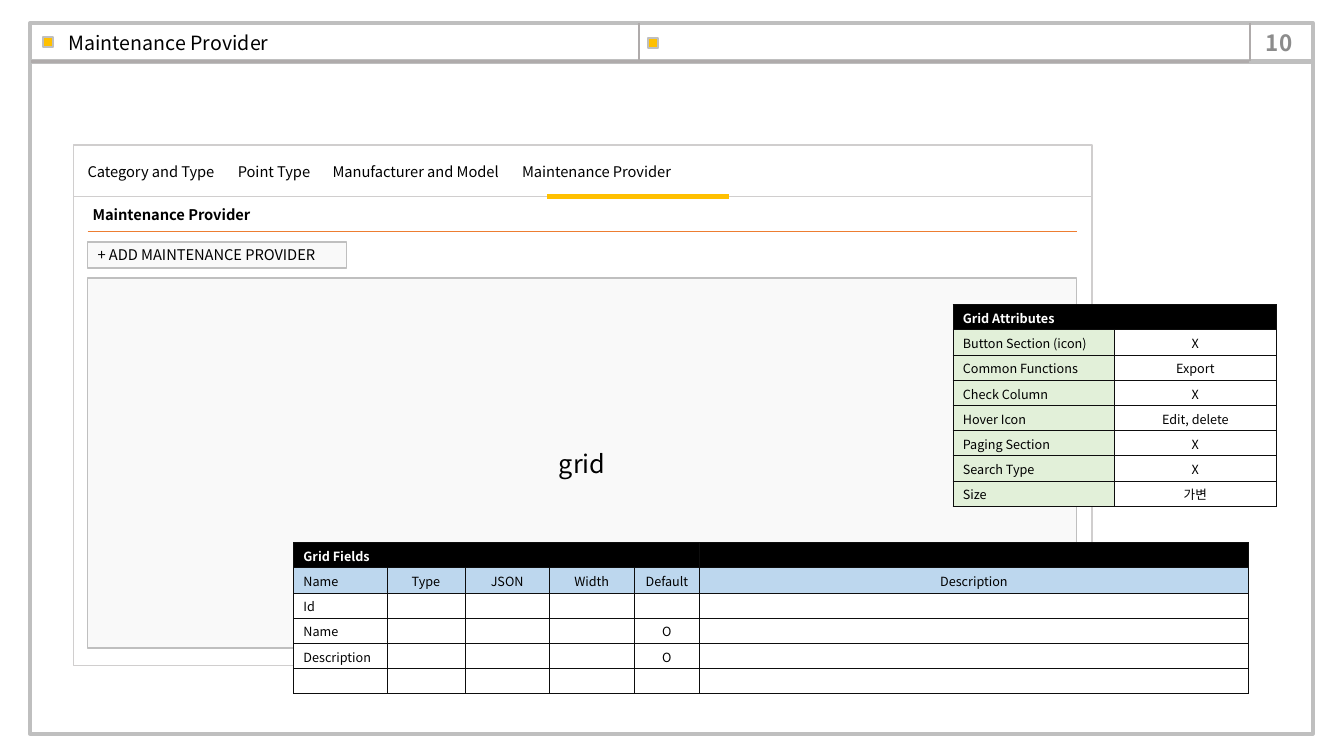
from lxml import etree
from pptx import Presentation, util as u
from pptx.dml.color import RGBColor
from pptx.enum import shapes, text
from pptx.oxml.ns import qn

FONT = "Noto Sans CJK KR"
LEFT, CENTER = text.PP_ALIGN.LEFT, text.PP_ALIGN.CENTER
TOP, MIDDLE, BOTTOM = text.MSO_ANCHOR.TOP, text.MSO_ANCHOR.MIDDLE, text.MSO_ANCHOR.BOTTOM
WHITE, BLACK, GRAY, SILVER, AMBER, PALE = "FFFFFF", "000000", "BFBFBF", "D0CECE", "FFC000", "F9F9F9"
RULE = "AFABAB"

WIDTH, HEIGHT = 13.33, 7.5
FRAME_X, FRAME_WIDTH, HEADER_Y, BODY_Y, BODY_HEIGHT = 0.3, 12.72, 0.23, 0.61, 6.67
SCREEN_X, SCREEN_WIDTH, TABS_Y, SCREEN_Y = 0.73, 10.1, 1.44, 1.95
PANEL_X, PANEL_WIDTH = 0.87, 9.81
ROW_HEIGHT = 0.25

BOXES = [
    ((FRAME_X, BODY_Y, FRAME_WIDTH, BODY_HEIGHT), WHITE, GRAY, 3),
    ((FRAME_X, HEADER_Y, FRAME_WIDTH, BODY_Y - HEADER_Y), None, GRAY, 3),
    ((0.43, 0.37, 0.1, 0.1), AMBER, GRAY, 1.5),
    ((6.43, 0.38, 0.1, 0.1), AMBER, GRAY, 1.5),
    ((SCREEN_X, SCREEN_Y, SCREEN_WIDTH, 4.65), None, SILVER, 1),
    ((SCREEN_X, TABS_Y, SCREEN_WIDTH, SCREEN_Y - TABS_Y), None, SILVER, 1),
    ((PANEL_X, 2.4, 2.57, 0.26), PALE, GRAY, 1),
    ((PANEL_X, 2.76, PANEL_WIDTH, 3.67), PALE, GRAY, 1),
]
LINES = [
    ((0.31, BODY_Y, 12.39, BODY_Y), RULE, 1.5),
    ((12.4, BODY_Y, 12.4, HEADER_Y), RULE, 1.5),
    ((6.34, BODY_Y, 6.34, HEADER_Y), RULE, 1.5),
    ((5.43, SCREEN_Y, 7.23, SCREEN_Y), AMBER, 3),
    ((PANEL_X, 2.3, PANEL_X + PANEL_WIDTH, 2.3), "ED7D31", 0.5),
]
TABS = ["Category and Type", "Point Type", "Manufacturer and Model", "Maintenance Provider"]
TAB_STOPS = [1.49, 2.43, 4.31]
LABELS = [
    ((12.34, 0.24, 0.69, 0.36), "10", 16, "8C8C8C", True, CENTER, MIDDLE),
    ((0.58, 0.27, 5.68, 0.32), "Maintenance Provider", 14, BLACK, False, LEFT, BOTTOM),
    ((0.77, 1.57, 6.45, 0.28), "\t".join(TABS), 10.5, BLACK, False, LEFT, TOP),
    ((0.82, 1.99, 3.38, 0.28), "Maintenance Provider", 10.5, BLACK, True, LEFT, TOP),
    ((PANEL_X, 2.4, 2.57, 0.26), "+ ADD MAINTENANCE PROVIDER", 10.5, BLACK, False, LEFT, MIDDLE),
    ((PANEL_X, 2.76, PANEL_WIDTH, 3.67), "grid", 18, BLACK, False, CENTER, MIDDLE),
]
ATTRIBUTES = [
    ("Grid Attributes", ""),
    ("Button Section (icon)", "X"),
    ("Common Functions", "Export"),
    ("Check Column", "X"),
    ("Hover Icon", "Edit, delete"),
    ("Paging Section", "X"),
    ("Search Type", "X"),
    ("Size", "가변"),
]
FIELDS = [
    ("Grid Fields", "", "", "", "", ""),
    ("Name", "Type", "JSON", "Width", "Default", "Description"),
    ("Id", "", "", "", "", ""),
    ("Name", "", "", "", "O", ""),
    ("Description", "", "", "", "O", ""),
    ("", "", "", "", "", ""),
]


def color(value):
    """Turn a hex string into a colour."""
    return RGBColor.from_string(value)


def assign(target, values):
    """Set each named attribute of the target."""
    for name, value in values.items():
        setattr(target, name, value)


def paint(fill, value):
    """Fill with one colour, or with none."""
    if value:
        fill.solid()
        fill.fore_color.rgb = color(value)
    else:
        fill.background()


def write(para, words, size, ink, bold, align):
    """Write one formatted span into a paragraph."""
    para.alignment = align
    if words:
        span = para.add_run()
        span.text = words
        assign(span.font, {"name": FONT, "size": u.Pt(size), "bold": bold})
        span.font.color.rgb = color(ink)
    else:
        etree.SubElement(para._p, qn("a:endParaRPr"), sz=str(int(size * 100)))


def add_box(page, place, fill, edge, weight):
    """Draw an outlined rectangle."""
    box = page.shapes.add_shape(shapes.MSO_SHAPE.RECTANGLE, *map(u.Inches, place))
    box.shadow.inherit = False
    paint(box.fill, fill)
    box.line.color.rgb = color(edge)
    box.line.width = u.Pt(weight)


def add_line(page, ends, ink, weight):
    """Draw a straight rule."""
    rule = page.shapes.add_connector(shapes.MSO_CONNECTOR.STRAIGHT, *map(u.Inches, ends))
    rule.line.color.rgb = color(ink)
    rule.line.width = u.Pt(weight)
    etree.SubElement(rule._element.spPr, qn("a:effectLst"))


def add_label(page, place, words, size, ink, bold, align, anchor):
    """Place a line of text, with tab stops where it holds tabs."""
    frame = page.shapes.add_textbox(*map(u.Inches, place)).text_frame
    assign(frame, {"word_wrap": True, "vertical_anchor": anchor})
    para = frame.paragraphs[0]
    write(para, words, size, ink, bold, align)
    if "\t" in words:
        stops = etree.SubElement(para._p.get_or_add_pPr(), qn("a:tabLst"))
        for stop in TAB_STOPS:
            etree.SubElement(stops, qn("a:tab"), pos=str(u.Inches(stop)), algn="l")


def add_borders(cell):
    """Give a cell thin dark borders."""
    for side in ("lnL", "lnR", "lnT", "lnB"):
        line = etree.SubElement(cell._tc.get_or_add_tcPr(), qn("a:" + side), w=str(u.Pt(0.25)))
        fill = etree.SubElement(line, qn("a:solidFill"))
        etree.SubElement(fill, qn("a:srgbClr"), val="0D0D0D")


def add_table(page, left, top, widths, rows, title_span, shade):
    """Build a table with a black title row; shade gives other fills."""
    size = (sum(widths), ROW_HEIGHT * len(rows))
    table = page.shapes.add_table(len(rows), len(widths), *map(u.Inches, (left, top, *size))).table
    for column, width in zip(table.columns, widths):
        column.width = u.Inches(width)
    for row, values in enumerate(rows):
        table.rows[row].height = u.Inches(ROW_HEIGHT)
        for column, words in enumerate(values):
            cell = table.cell(row, column)
            assign(cell, {"margin_top": u.Inches(0.04), "margin_bottom": u.Inches(0.02),
                          "vertical_anchor": MIDDLE})
            add_borders(cell)
            paint(cell.fill, shade(row, column) if row else BLACK)
            write(cell.text_frame.paragraphs[0], words, 9, BLACK if row else WHITE,
                  row == 0, CENTER if column else LEFT)
    table.cell(0, 0).merge(table.cell(0, title_span - 1))


def main():
    """Build the slide and save it."""
    deck = Presentation()
    assign(deck, {"slide_width": u.Inches(WIDTH), "slide_height": u.Inches(HEIGHT)})
    page = deck.slides.add_slide(deck.slide_layouts[6])
    for add, items in ((add_box, BOXES), (add_line, LINES), (add_label, LABELS)):
        for item in items:
            add(page, *item)
    add_table(page, 9.45, 3.02, [1.6, 1.61], ATTRIBUTES, 2,
              lambda row, column: WHITE if column else "E2F0D9")
    add_table(page, 2.91, 5.38, [0.93, 0.77, 0.84, 0.84, 0.65, 5.44], FIELDS, 5,
              lambda row, column: "BDD7EE" if row == 1 else WHITE)
    deck.save("out.pptx")


if __name__ == "__main__":
    main()
